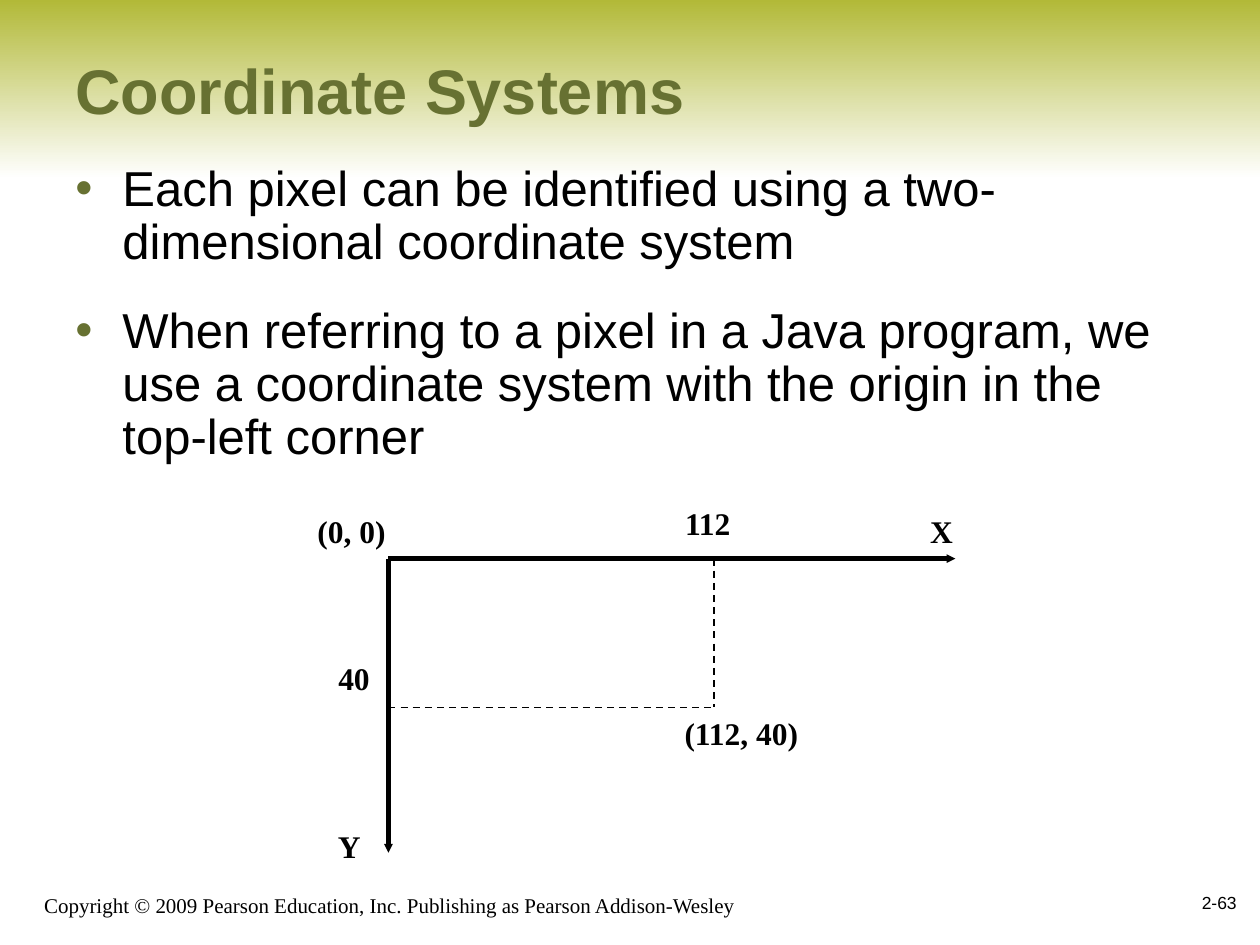
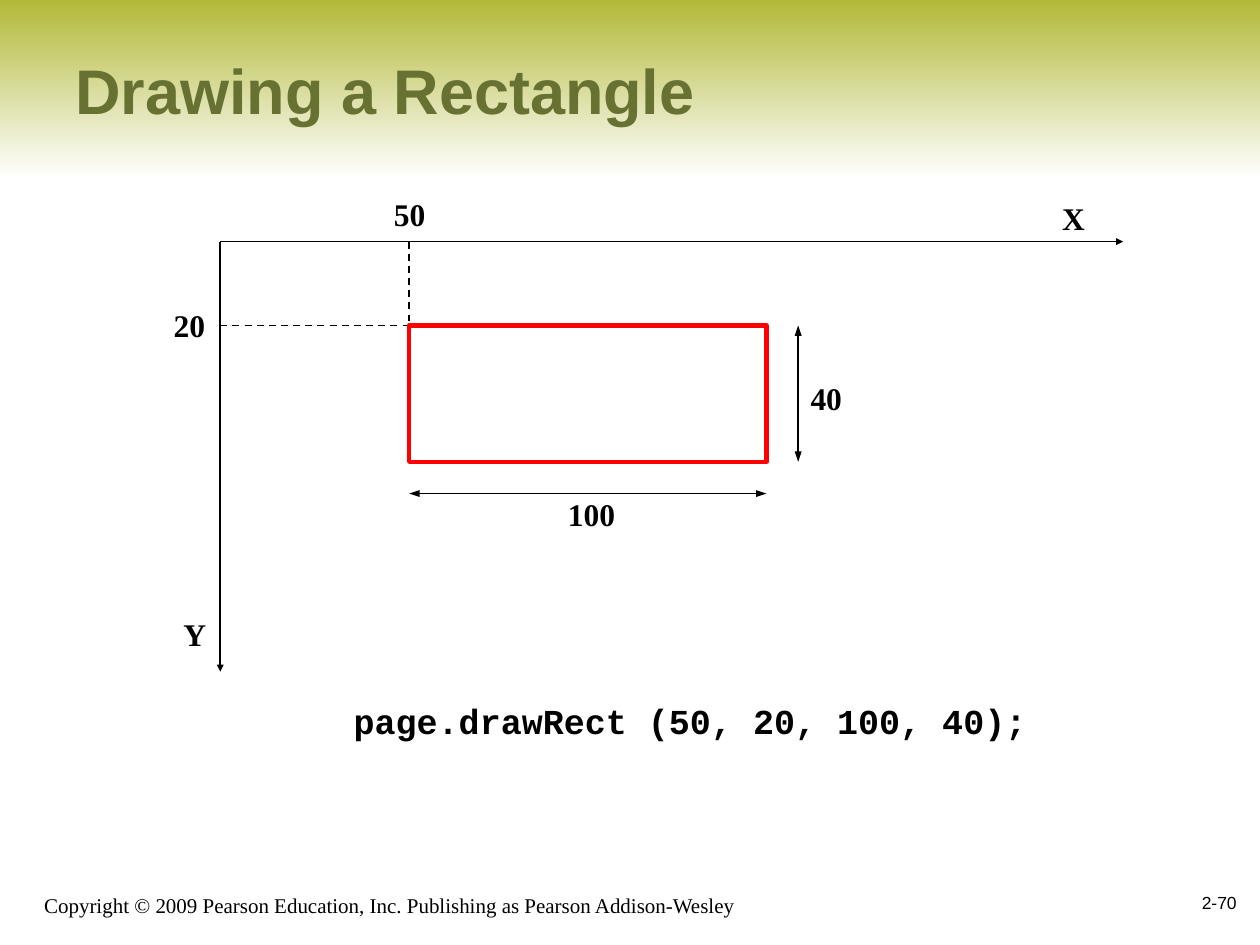
from lxml.etree import SubElement
from pptx import Presentation
from pptx.dml.color import RGBColor
from pptx.enum.dml import MSO_LINE
from pptx.enum.shapes import MSO_CONNECTOR, MSO_SHAPE
from pptx.enum.text import MSO_ANCHOR as ANCHOR, MSO_AUTO_SIZE as AUTO, PP_ALIGN as ALIGN
from pptx.oxml.ns import qn
from pptx.util import Cm, Pt

# Shared look
BLACK, OLIVE, LIME, WHITE, RED = "000000", "677132", "B2B938", "FFFFFF", "FF0000"
TITLE = dict(name="Arial", size=Pt(36), bold=True)
BODY = dict(name="Arial", size=Pt(28))
LABEL = dict(name="Times New Roman", size=Pt(18), bold=True)
CODE = dict(name="Courier New", size=Pt(20), bold=True)
COPYRIGHT = dict(name="Times New Roman", size=Pt(12))
NUMBER = dict(name="Arial", size=Pt(10))
LABEL_H = 1.02
COPYRIGHT_LINE = ("Copyright © 2009 Pearson Education, Inc. "
                  "Publishing as Pearson Addison-Wesley")


def rgb(value):
    return RGBColor.from_string(value)


def add_text(slide, box, paragraphs, font, color=BLACK, anchor=ANCHOR.TOP,
             align=ALIGN.LEFT, wrap=True):
    tf = slide.shapes.add_textbox(*map(Cm, box)).text_frame
    tf.word_wrap, tf.vertical_anchor = wrap, anchor
    tf.auto_size = AUTO.NONE if wrap else AUTO.SHAPE_TO_FIT_TEXT
    for i, text in enumerate(paragraphs):
        p = tf.paragraphs[0] if i == 0 else tf.add_paragraph()
        p.alignment = align
        r = p.add_run()
        r.text = text
        r.font.color.rgb = rgb(color)
        for key, value in font.items():
            setattr(r.font, key, value)
    return tf


def add_line(slide, start, end, width=1, dash=None, ends=(), length="sm"):
    line = slide.shapes.add_connector(MSO_CONNECTOR.STRAIGHT, *map(Cm, (*start, *end)))
    line.line.width = Pt(width)
    line.line.color.rgb = rgb(BLACK)
    if dash:
        line.line.dash_style = dash
    ln = line.line._get_or_add_ln()
    for tag in ends:
        SubElement(ln, qn("a:" + tag), type="triangle", w="sm", len=length)
    SubElement(line._element.spPr, qn("a:effectLst"))


def add_labels(slide, x, y, labels):
    """Each label is text, left and top from (x, y), and width."""
    for text, dx, dy, width in labels:
        add_text(slide, (x + dx, y + dy, width, LABEL_H), [text], LABEL, wrap=False)


# Band, title and footer
def add_frame(prs, title, number):
    slide = prs.slides.add_slide(prs.slide_layouts[6])
    band = slide.shapes.add_shape(MSO_SHAPE.RECTANGLE, 0, 0, prs.slide_width, Cm(3.6))
    band.shadow.inherit = False
    band.line.fill.background()
    band.fill.gradient()
    band.fill.gradient_angle = 270
    for stop, color, position in zip(band.fill.gradient_stops, (LIME, WHITE), (0, 1)):
        stop.color.rgb, stop.position = rgb(color), position
    add_text(slide, (0.64, 17.57, 15.45, 1.06), [COPYRIGHT_LINE], COPYRIGHT,
             anchor=ANCHOR.BOTTOM)
    add_text(slide, (19.9, 17.57, 5.28, 1.25), [number], NUMBER,
             anchor=ANCHOR.MIDDLE, align=ALIGN.RIGHT)
    add_text(slide, (1.27, 0.21, 23.07, 3.17), [title], TITLE, OLIVE, ANCHOR.MIDDLE)
    return slide


def add_bullets(slide, box, items):
    tf = add_text(slide, box, items, BODY)
    for i, p in enumerate(tf.paragraphs):
        pPr = p._p.get_or_add_pPr()
        pPr.set("marL", str(Cm(0.95)))
        pPr.set("indent", str(-Cm(0.95)))
        SubElement(SubElement(pPr, qn("a:buClr")), qn("a:srgbClr"), val=OLIVE)
        SubElement(pPr, qn("a:buFont"), typeface="Arial")
        SubElement(pPr, qn("a:buChar"), char="•")
        p.line_spacing = 0.9
        p.space_before = Pt(21 if i else 0)


# Axes from the origin, with dashed guides to one point
def add_axes(slide, box, point, width):
    x, y, w, h = box
    px, py = x + point[0], y + point[1]
    for end in ((x + w, y), (x, y + h)):
        add_line(slide, (x, y), end, width, ends=["tailEnd"])
    for start in ((px, y), (x, py)):
        add_line(slide, start, (px, py), dash=MSO_LINE.DASH)


# Outlined rectangle with its width and height marked
def add_measured_rectangle(slide, box, gap=0.64):
    x, y, w, h = box
    sp = slide.shapes.add_shape(MSO_SHAPE.RECTANGLE, *map(Cm, box))
    sp.shadow.inherit = False
    sp.fill.background()
    sp.line.color.rgb, sp.line.width = rgb(RED), Pt(2.5)
    right, below = x + w + gap, y + h + gap
    for start, end in (((x, below), (x + w, below)), ((right, y), (right, y + h))):
        add_line(slide, start, end, ends=["headEnd", "tailEnd"], length="med")
    add_labels(slide, x, y, [("100", 2.95, h + gap - 0.1, 1.5),
                             ("40", w + gap, 0.95, 1.18)])


def coordinate_slide(prs):
    slide = add_frame(prs, "Coordinate Systems", "2-63")
    add_bullets(slide, (1.27, 3.18, 23.07, 6.78), [
        "Each pixel can be identified using a two-dimensional coordinate system",
        "When referring to a pixel in a Java program, we use a coordinate system "
        "with the origin in the top-left corner"])
    x, y = 7.83, 11.26
    add_axes(slide, (x, y, 11.43, 5.93), (6.57, 3), 2.5)
    add_labels(slide, x, y, [
        ("Y", -1.27, 5.29, 1), ("X", 10.67, -1.06, 1),
        ("(0, 0)", -1.68, -1.06, 1.92), ("(112, 40)", 5.72, 3, 2.88),
        ("112", 5.73, -1.22, 1.5), ("40", -1.26, 1.91, 1.18)])


def rectangle_slide(prs):
    slide = add_frame(prs, "Drawing a Rectangle", "2-70")
    x, y = 4.44, 4.87
    corner = (3.81, 1.69)
    add_axes(slide, (x, y, 18.2, 8.67), corner, 1)
    add_labels(slide, x, y, [
        ("X", 16.72, -0.99, 1), ("Y", -0.99, 7.4, 1),
        ("50", 3.25, -1.07, 1.18), ("20", -1.19, 1.17, 1.18)])
    add_measured_rectangle(slide, (x + corner[0], y + corner[1], 7.2, 2.75))
    add_text(slide, (6.88, 13.97, 14.2, 1.12), ["page.drawRect (50, 20, 100, 40);"],
             CODE, wrap=False)


def main():
    prs = Presentation()
    prs.slide_width, prs.slide_height = Cm(25.4), Cm(19.05)
    coordinate_slide(prs)
    rectangle_slide(prs)
    prs.save("out.pptx")


if __name__ == "__main__":
    main()
